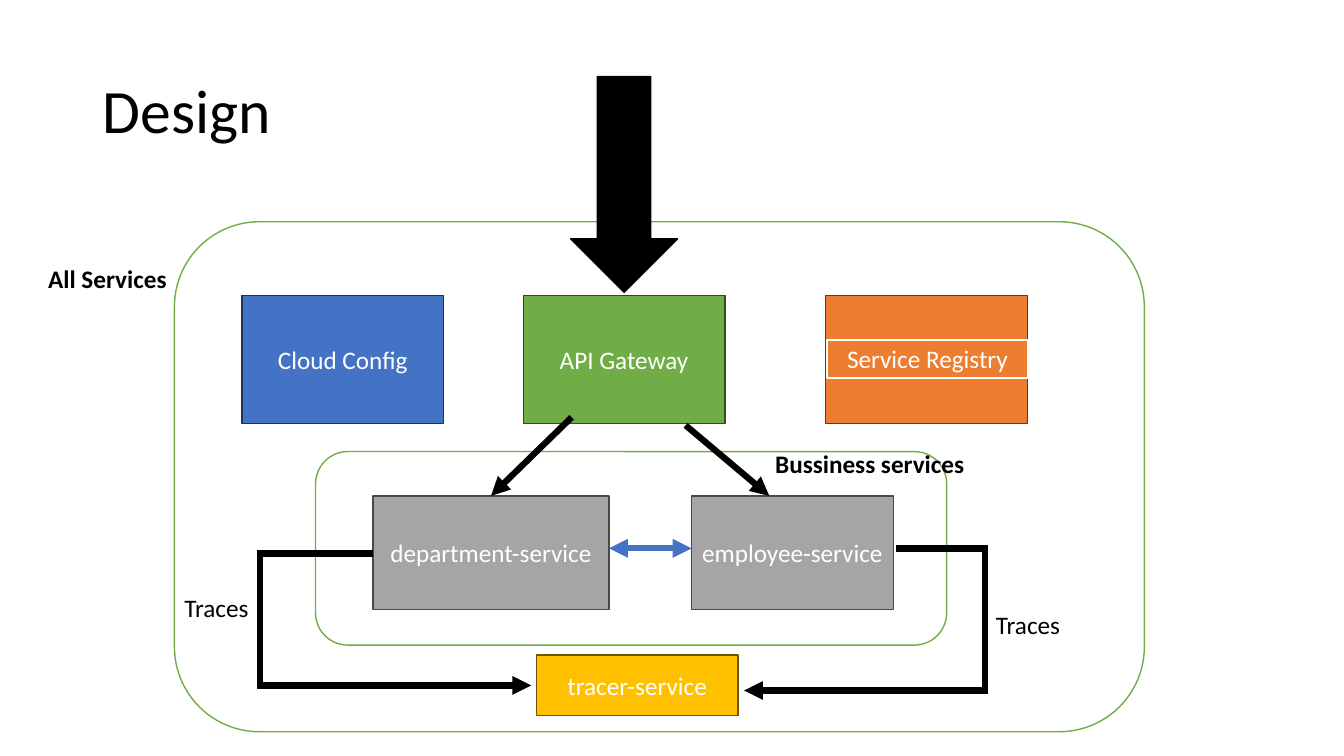
from pptx import Presentation
from pptx.dml.color import RGBColor
from pptx.enum.shapes import MSO_CONNECTOR, MSO_SHAPE
from pptx.enum.text import MSO_ANCHOR, PP_ALIGN
from pptx.oxml.ns import qn
from pptx.util import Pt
from lxml import etree

PX = 9144  # EMU per px, 100 px to the inch
FONT = "Calibri"

RECT = MSO_SHAPE.RECTANGLE
ROUND = MSO_SHAPE.ROUNDED_RECTANGLE
DOWN_ARROW = MSO_SHAPE.DOWN_ARROW
STRAIGHT = MSO_CONNECTOR.STRAIGHT
ELBOW = MSO_CONNECTOR.ELBOW
MIDDLE = MSO_ANCHOR.MIDDLE
TOP = MSO_ANCHOR.TOP
CENTER = PP_ALIGN.CENTER
LEFT = PP_ALIGN.LEFT

BLACK = RGBColor(0x00, 0x00, 0x00)
WHITE = RGBColor(0xFF, 0xFF, 0xFF)
BLUE = RGBColor(0x44, 0x72, 0xC4)
DARK_BLUE = RGBColor(0x1E, 0x32, 0x56)
GREEN = RGBColor(0x70, 0xAD, 0x47)
DARK_GREEN = RGBColor(0x31, 0x4C, 0x1F)
ORANGE = RGBColor(0xED, 0x7D, 0x31)
DARK_ORANGE = RGBColor(0x68, 0x37, 0x15)
GRAY = RGBColor(0xA5, 0xA5, 0xA5)
DARK_GRAY = RGBColor(0x48, 0x48, 0x48)
YELLOW = RGBColor(0xFF, 0xC0, 0x00)
DARK_YELLOW = RGBColor(0x70, 0x54, 0x00)


def emu(*lengths):
    return [n * PX for n in lengths]


def write(tf, text, color, size=18, bold=False, align=LEFT, anchor=TOP):
    tf.word_wrap = True
    tf.vertical_anchor = anchor
    p = tf.paragraphs[0]
    p.alignment = align
    r = p.add_run()
    r.text = text
    r.font.name = FONT
    r.font.size = Pt(size)
    r.font.bold = bold
    r.font.color.rgb = color
    return p


def add_box(slide, kind, box, fill, line, text="", width=1):
    sp = slide.shapes.add_shape(kind, *emu(*box))
    sp.shadow.inherit = False
    sp.fill.solid()
    sp.fill.fore_color.rgb = fill
    sp.line.color.rgb = line
    sp.line.width = Pt(width)
    if text:
        write(sp.text_frame, text, WHITE, align=CENTER, anchor=MIDDLE)


def add_label(slide, box, text, **style):
    sp = slide.shapes.add_textbox(*emu(*box))
    return write(sp.text_frame, text, BLACK, **style)


def add_arrow(slide, start, end, color=BLACK, via_x=None, ends=("tailEnd",)):
    """Straight arrow, or an elbow whose middle leg stands at via_x."""
    kind = STRAIGHT if via_x is None else ELBOW
    cn = slide.shapes.add_connector(kind, *emu(*start, *end))
    cn.line.color.rgb = color
    cn.line.width = Pt(4.5)
    sp_pr = cn.element.spPr
    ln = sp_pr.find(qn("a:ln"))
    etree.SubElement(ln, qn("a:miter"), lim="800000")
    for name in ends:
        etree.SubElement(ln, qn("a:" + name), type="triangle")
    etree.SubElement(sp_pr, qn("a:effectLst"))
    if via_x is not None:
        bend = round((via_x - start[0]) / (end[0] - start[0]) * 100000)
        guides = sp_pr.find(qn("a:prstGeom")).get_or_add_avLst()
        etree.SubElement(guides, qn("a:gd"), name="adj1", fmla=f"val {bend}")


def main():
    prs = Presentation()
    prs.slide_width, prs.slide_height = emu(1333, 750)
    slide = prs.slides.add_slide(prs.slide_layouts[6])

    # Title
    p = add_label(slide, (92, 40, 1150, 145), "Design", size=44, anchor=MIDDLE)
    p.line_spacing = 0.9

    # Outer group and platform services
    add_box(slide, ROUND, (173, 220, 962, 506), WHITE, GREEN)
    for x, fill, line, text in (
        (819, ORANGE, DARK_ORANGE, ""),
        (519, GREEN, DARK_GREEN, "API Gateway"),
        (240, BLUE, DARK_BLUE, "Cloud Config"),
    ):
        add_box(slide, RECT, (x, 293, 200, 127), fill, line, text)
    add_box(slide, RECT, (820, 337, 200, 38), ORANGE, WHITE,
            "Service Registry", 1.5)

    # Inner group and business services
    add_box(slide, ROUND, (313, 448, 626, 192), WHITE, GREEN)
    for x, w, text in ((370, 234, "department-service"),
                       (686, 200, "employee-service")):
        add_box(slide, RECT, (x, 492, w, 113), GRAY, DARK_GRAY, text)

    # Incoming requests and tracing service
    add_box(slide, DOWN_ARROW, (566, 76, 106, 214), BLACK, BLACK)
    add_box(slide, RECT, (532, 650, 200, 60), YELLOW, DARK_YELLOW,
            "tracer-service")

    # Calls from the gateway, then traces
    add_arrow(slide, (680, 422), (763, 492))
    add_arrow(slide, (567, 414), (487, 492))
    add_arrow(slide, (889, 544), (738, 685), via_x=977)
    add_arrow(slide, (370, 549), (527, 680), via_x=258)

    # Labels
    for x, y, w, text, bold in (
        (978, 600, 200, "Traces", False),
        (173, 583, 200, "Traces", False),
        (38, 256, 200, "All Services", True),
        (759, 440, 253, "Bussiness services", True),
    ):
        add_label(slide, (x, y, w, 40), text, bold=bold)

    # Calls between the business services
    add_arrow(slide, (604, 544), (686, 544), BLUE,
              ends=("headEnd", "tailEnd"))

    prs.save("out.pptx")


if __name__ == "__main__":
    main()
